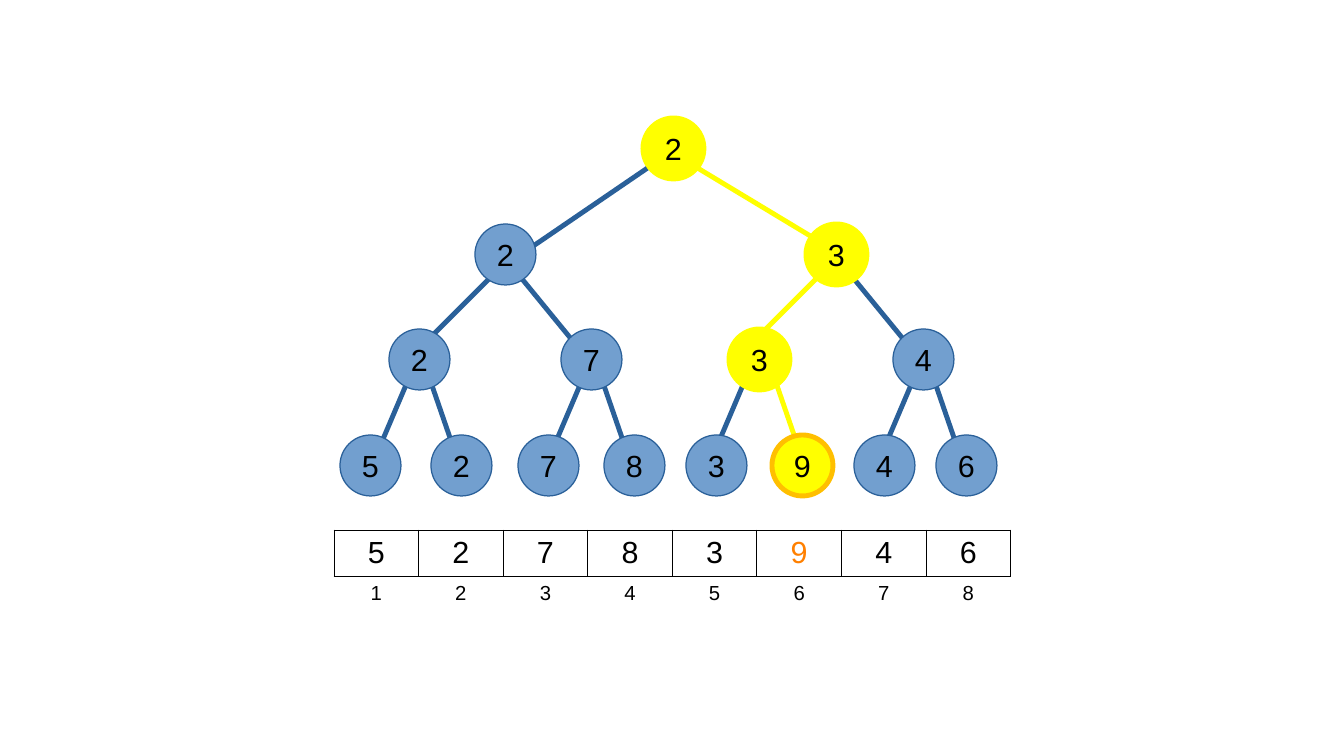
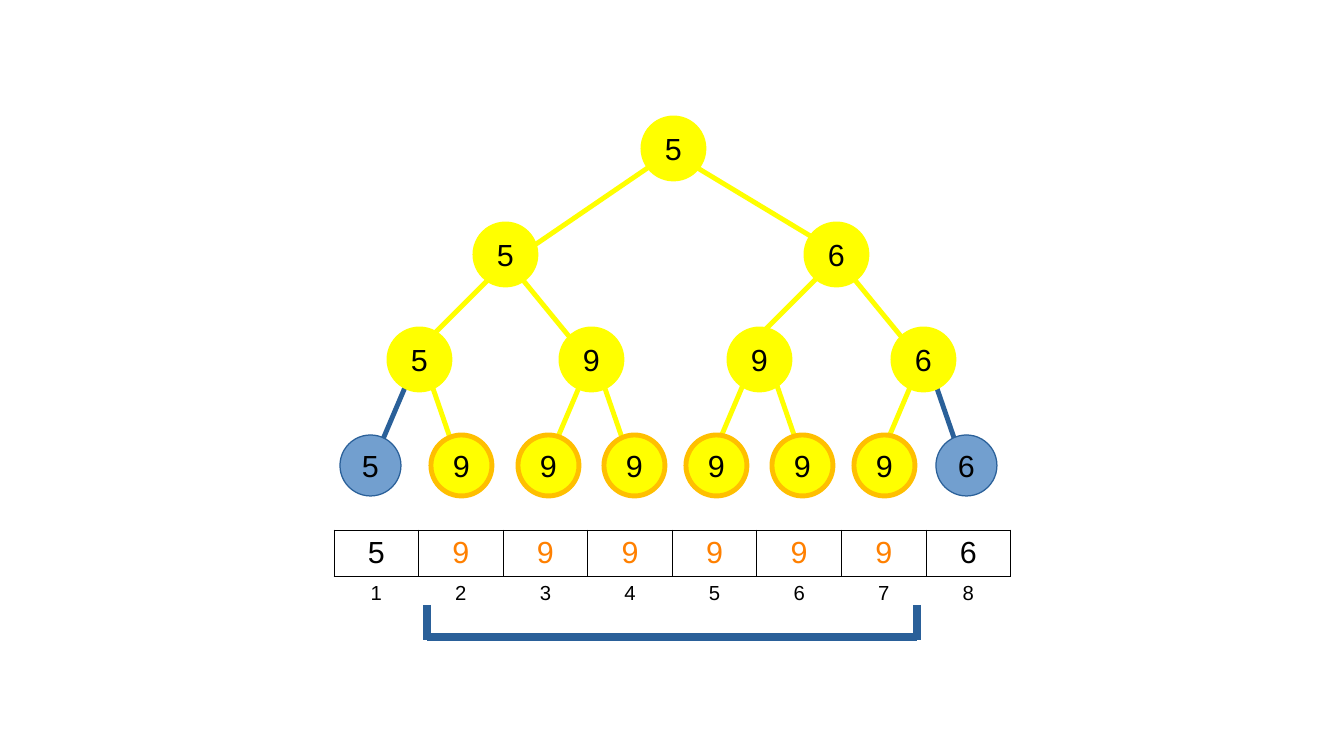
from dataclasses import dataclass

from lxml import etree
from pptx import Presentation
from pptx.dml.color import RGBColor
from pptx.enum.shapes import MSO_CONNECTOR, MSO_SHAPE
from pptx.enum.text import MSO_ANCHOR, PP_ALIGN
from pptx.oxml.ns import qn
from pptx.util import Emu, Pt

STRAIGHT = MSO_CONNECTOR.STRAIGHT
ELLIPSE = MSO_SHAPE.OVAL
MIDDLE = MSO_ANCHOR.MIDDLE
CENTER = PP_ALIGN.CENTER

EMU_PER_PX = 914400 / 122
SLIDE_SIZE = (1344, 756)
BLANK_LAYOUT = 6


@dataclass(frozen=True)
class Theme:
    font: str = "Arial"
    text: str = "000000"
    changed_text: str = "FF8000"
    node: str = "729FCF"
    edge: str = "2A6099"
    visited: str = "FFFF00"
    changed_ring: str = "FFBF00"
    value_size: float = 18
    index_size: float = 12
    edge_width: float = 2.89
    bracket_width: float = 4.31
    border_width: float = 0.57


@dataclass(frozen=True)
class Level:
    """One row of nodes; edges lead to it from the row above.

    Edges alternate between left and right children, and each side
    shares a start height and a (dx, dy) run.
    """
    top: int
    lefts: tuple
    edge_starts: tuple = ()
    edge_tops: tuple = ()
    edge_runs: tuple = ()


THEME = Theme()
NODE_SIZE = 61
LEVELS = (
    Level(435, (340, 431, 518, 604, 686, 772, 854, 936),
          (412, 427, 586, 599, 749, 772, 917, 931),
          (371, 371), ((-37, 87), (30, 87))),
    Level(329, (389, 561, 729, 893), (503, 518, 830, 850),
          (265, 274), ((-92, 92), (63, 77))),
    Level(224, (475, 806), (671, 671),
          (152, 152), ((-145, 99), (156, 94))),
    Level(118, (643,)),
)
TABLE_LEFT, TABLE_WIDTH, ROW_HEIGHT = 334, 677, 46
VALUE_TOP, INDEX_TOP = 530, 570
BRACKET_LEFT, BRACKET_RIGHT = 427, 917
BRACKET_TOP, BRACKET_BASE, BRACKET_BOTTOM = 605, 637, 640


def px(length):
    return Emu(round(length * EMU_PER_PX))


def rgb(color):
    return RGBColor.from_string(color)


def write(frame, text, size, color):
    paragraph = frame.paragraphs[0]
    paragraph.alignment = CENTER
    run = paragraph.add_run()
    run.text = text
    run.font.name = THEME.font
    run.font.size = Pt(size)
    run.font.color.rgb = rgb(color)


def add_line(slide, start, end, color, width):
    line = slide.shapes.add_connector(STRAIGHT, *map(px, start + end))
    line.line.color.rgb = rgb(color)
    line.line.width = Pt(width)
    etree.SubElement(line._element.spPr, qn("a:effectLst"))


def add_node(slide, left, top, value, fill, ring, ring_width):
    node = slide.shapes.add_shape(
        ELLIPSE, *map(px, (left, top, NODE_SIZE, NODE_SIZE)))
    node.shadow.inherit = False
    node.fill.solid()
    node.fill.fore_color.rgb = rgb(fill)
    node.line.color.rgb = rgb(ring)
    node.line.width = Pt(ring_width)
    node.text_frame.vertical_anchor = MIDDLE
    write(node.text_frame, str(value), THEME.value_size, THEME.text)


def set_borders(cell, color):
    """Draw all four sides in the colour, or none if it is None."""
    properties = cell._tc.get_or_add_tcPr()
    for side in ("a:lnL", "a:lnR", "a:lnT", "a:lnB"):
        border = etree.SubElement(properties, qn(side),
                                  w=str(Pt(THEME.border_width)))
        if color is None:
            etree.SubElement(border, qn("a:noFill"))
        else:
            fill = etree.SubElement(border, qn("a:solidFill"))
            etree.SubElement(fill, qn("a:srgbClr"), val=color)


def add_row(slide, top, entries, size, border=None, changed=()):
    table = slide.shapes.add_table(
        1, len(entries),
        *map(px, (TABLE_LEFT, top, TABLE_WIDTH, ROW_HEIGHT))).table
    table.first_row = table.horz_banding = False
    for index, entry in enumerate(entries):
        table.columns[index].width = px(TABLE_WIDTH / len(entries))
        cell = table.cell(0, index)
        set_borders(cell, border)
        cell.fill.background()
        cell.margin_left = cell.margin_right = px(5)
        cell.margin_top = cell.margin_bottom = px(6)
        cell.vertical_anchor = MIDDLE
        color = THEME.changed_text if index in changed else THEME.text
        write(cell.text_frame, str(entry), size, color)


def add_level(slide, level, values, visited, is_leaf):
    for index, (left, value) in enumerate(zip(level.lefts, values)):
        on_path = index in visited
        edge_color = THEME.visited if on_path else THEME.edge
        if level.edge_starts:
            side = index % 2
            x, y = level.edge_starts[index], level.edge_tops[side]
            dx, dy = level.edge_runs[side]
            add_line(slide, (x, y), (x + dx, y + dy),
                     edge_color, THEME.edge_width)
        if on_path:
            ring = THEME.changed_ring if is_leaf else THEME.visited
            add_node(slide, left, level.top, value,
                     THEME.visited, ring, THEME.edge_width)
        else:
            add_node(slide, left, level.top, value,
                     THEME.node, THEME.edge, 0)


def add_min_tree(slide, values, changed):
    """Build from the leaves up; each parent holds its children's minimum."""
    visited = set(changed)
    for depth, level in enumerate(LEVELS):
        add_level(slide, level, values, visited, depth == 0)
        values = [min(pair) for pair in zip(values[::2], values[1::2])]
        visited = {index // 2 for index in visited}


def add_array(slide, values, changed):
    add_row(slide, INDEX_TOP, range(1, len(values) + 1), THEME.index_size)
    add_row(slide, VALUE_TOP, values, THEME.value_size, THEME.text, changed)


def add_range_bracket(slide):
    for x in (BRACKET_LEFT, BRACKET_RIGHT):
        add_line(slide, (x, BRACKET_TOP), (x, BRACKET_BOTTOM),
                 THEME.edge, THEME.bracket_width)
    add_line(slide, (BRACKET_RIGHT, BRACKET_BASE),
             (BRACKET_LEFT, BRACKET_BASE), THEME.edge, THEME.bracket_width)


def add_update_slide(deck, values, changed):
    slide = deck.slides.add_slide(deck.slide_layouts[BLANK_LAYOUT])
    add_min_tree(slide, values, changed)
    add_array(slide, values, changed)
    return slide


def main():
    deck = Presentation()
    deck.slide_width, deck.slide_height = map(px, SLIDE_SIZE)
    add_update_slide(deck, [5, 2, 7, 8, 3, 9, 4, 6], {5})
    range_update = add_update_slide(
        deck, [5, 9, 9, 9, 9, 9, 9, 6], set(range(1, 7)))
    add_range_bracket(range_update)
    deck.save("out.pptx")


if __name__ == "__main__":
    main()
